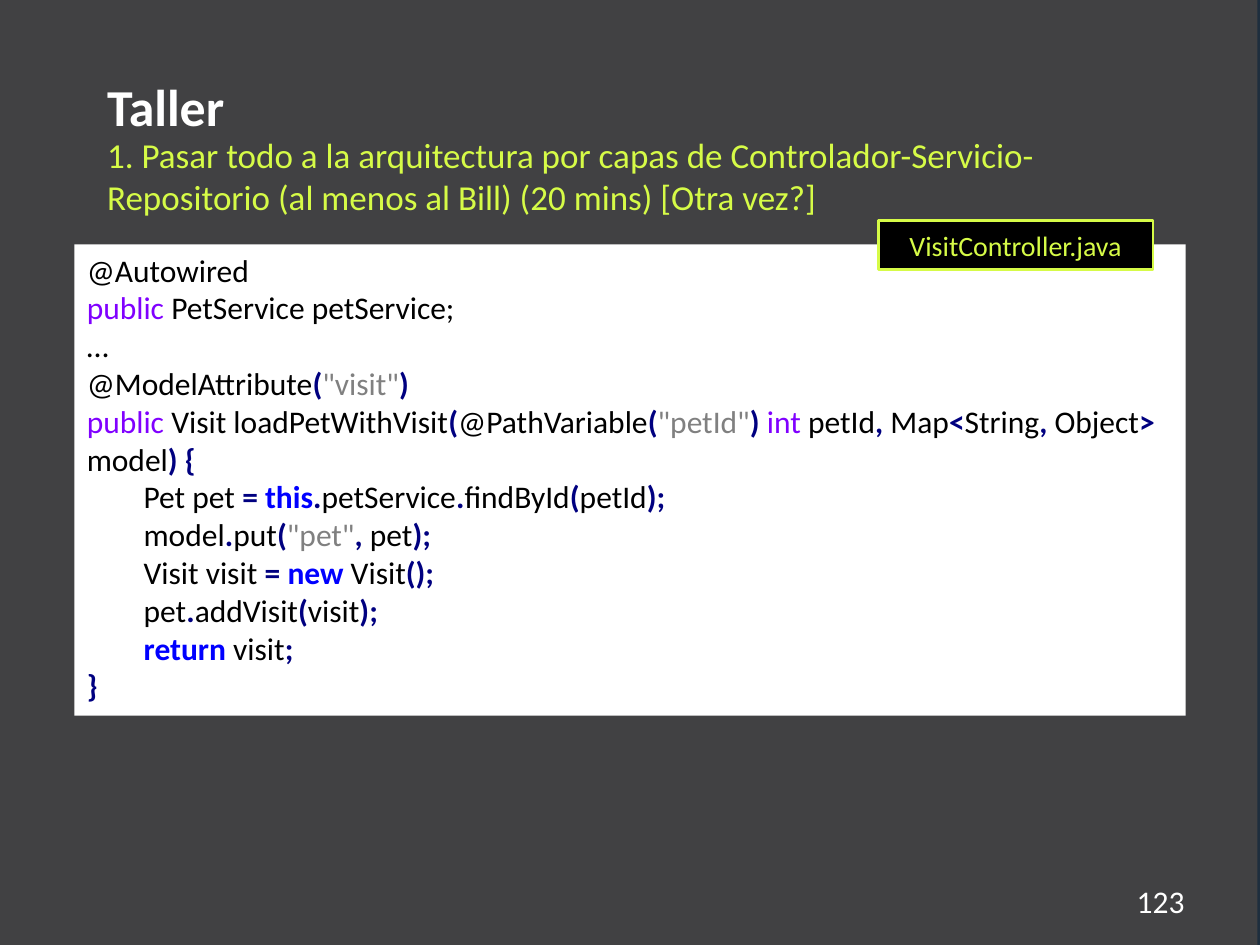
"""Build the workshop slide with the VisitController code listing."""
import pptx
import pptx.dml.color
import pptx.enum.shapes
import pptx.enum.text
import pptx.oxml
import pptx.util

ALIGN = pptx.enum.text.PP_ALIGN
ANCHOR = pptx.enum.text.MSO_ANCHOR
RECTANGLE = pptx.enum.shapes.MSO_SHAPE.RECTANGLE
LIME, WHITE, BLACK = "D6FB47", "FFFFFF", "000000"
PURPLE, BLUE, NAVY, GREY = "8000FF", "0000FF", "000080", "808080"

CODE = """@Autowired
public| PetService petService;
…
@ModelAttribute|(|"visit"|)
public| Visit loadPetWithVisit|(|@PathVariable|(|"petId"|)| |int| petId|,| Map|<|String|,| Object|>| model|)| |{
        Pet pet |=| |this|.|petService|.|findById|(|petId|);
        model|.|put|(|"pet"|,| pet|);
        Visit visit |=| |new| Visit|();
        pet|.|addVisit|(|visit|);
        |return| visit|;
}"""

presentation = pptx.Presentation()
presentation.slide_width = pptx.util.Inches(10)
presentation.slide_height = pptx.util.Inches(7.5)
column = presentation.slide_width // 100
row = presentation.slide_height // 75
slide = presentation.slides.add_slide(presentation.slide_layouts[1])


def paint(color_format, color):
    color_format.rgb = pptx.dml.color.RGBColor.from_string(color)


def write(paragraph, text, size, color, bold=False, align=ALIGN.LEFT):
    paragraph.alignment = align
    run = paragraph.add_run()
    run.text = text
    run.font.name = "Calibri"
    run.font.size = pptx.util.Pt(size)
    run.font.bold = bold
    paint(run.font.color, color)


background = slide.background.fill
background.solid()
paint(background.fore_color, "1E2E3E")

rectangles = []
for left, top, width, height, fill in [
    (-0.4, 0, 100.2, 75, "414143"),
    (5.9, 19.4, 88.2, 37.4, WHITE),
    (69.7, 17.5, 21.8, 3.9, BLACK),
]:
    shape = slide.shapes.add_shape(
        RECTANGLE, int(left * column), int(top * row), int(width * column), int(height * row))
    shape.shadow.inherit = False
    shape.fill.solid()
    paint(shape.fill.fore_color, fill)
    shape.line.fill.background()
    rectangles.append(shape)
panel, listing, file_label = rectangles

title = slide.shapes.title
body = slide.placeholders[1]
title.element.addprevious(panel.element)

for shape, left, top, width, height in [
    (title, 7.5, 5.4, 81.1, 5.5),
    (body, 7.5, 10.1, 87.5, 4.7),
]:
    shape.left, shape.top = int(left * column), int(top * row)
    shape.width, shape.height = int(width * column), int(height * row)
    shape.text_frame.auto_size = pptx.enum.text.MSO_AUTO_SIZE.NONE
    shape.text_frame.vertical_anchor = ANCHOR.TOP
    shape.text_frame.paragraphs[0].space_before = pptx.util.Pt(0)

write(title.text_frame.paragraphs[0], "Taller", 29.6, WHITE, bold=True)

paragraph = body.text_frame.paragraphs[0]
properties = paragraph._p.get_or_add_pPr()
properties.set("marL", "0")
properties.set("indent", "0")
properties.append(pptx.oxml.parse_xml(
    '<a:buNone xmlns:a="http://schemas.openxmlformats.org/drawingml/2006/main"/>'))
write(paragraph, "1. Pasar todo a la arquitectura por capas de Controlador-Servicio-"
      "Repositorio (al menos al Bill) (20 mins) [Otra vez?]", 20, LIME)

frame = listing.text_frame
frame.word_wrap = True
frame.vertical_anchor = ANCHOR.TOP
for index, line in enumerate(CODE.split("\n")):
    paragraph = frame.add_paragraph() if index else frame.paragraphs[0]
    for token in line.split("|"):
        color, bold = BLACK, False
        if token in ("public", "int"):
            color = PURPLE
        elif token in ("this", "new", "return"):
            color, bold = BLUE, True
        elif token.startswith('"'):
            color = GREY
        elif token.strip("=.,;()<>{}") == "":
            color, bold = NAVY, True
        write(paragraph, token, 18, color, bold)

file_label.line.width = pptx.util.Pt(1.5)
file_label.line.fill.solid()
paint(file_label.line.color, LIME)
file_label.text_frame.vertical_anchor = ANCHOR.MIDDLE
write(file_label.text_frame.paragraphs[0], "VisitController.java", 16, LIME, align=ALIGN.CENTER)

page_number = slide.shapes.add_textbox(
    int(85.4 * column), int(69.5 * row), int(9.6 * column), 4 * row)
page_number.text_frame.word_wrap = True
write(page_number.text_frame.paragraphs[0], "123", 18, WHITE, align=ALIGN.RIGHT)

presentation.save("out.pptx")
